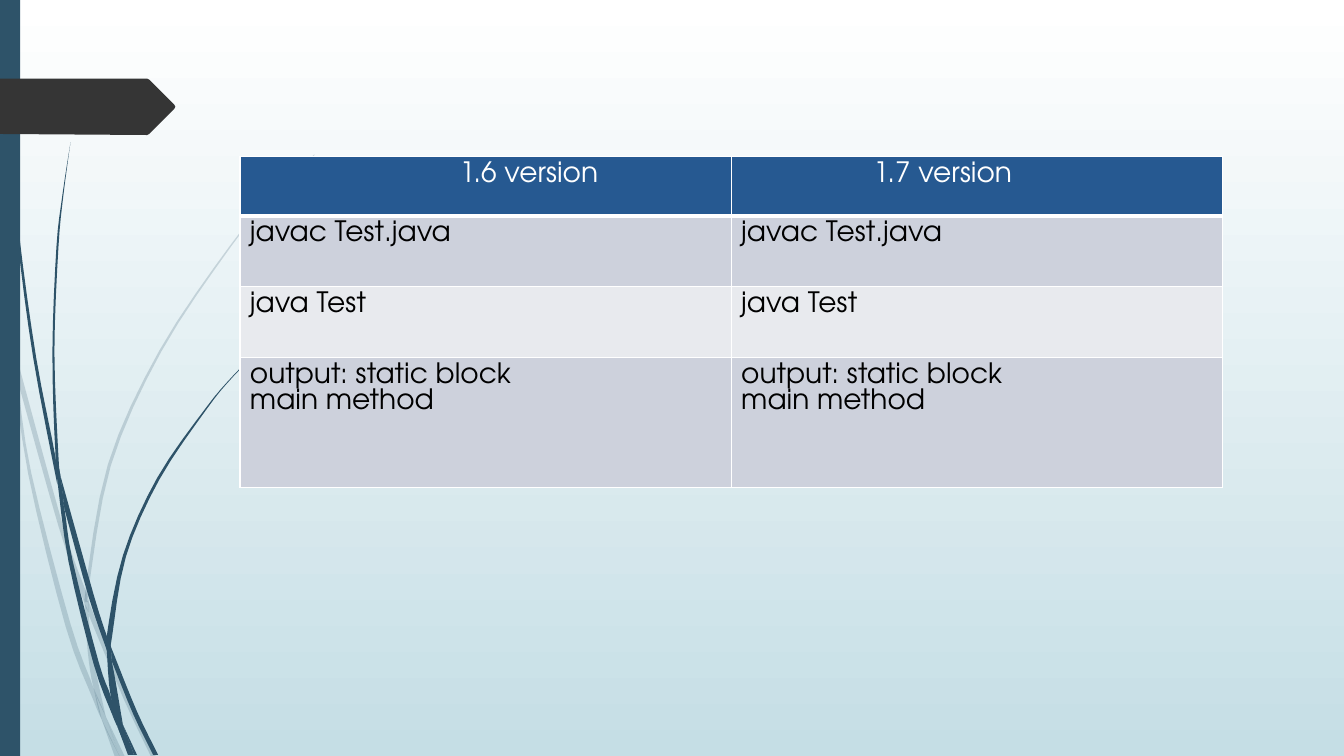
from pptx import Presentation, util as u
from pptx.dml.color import RGBColor
from pptx.enum import shapes
from pptx.oxml import parse_xml
from pptx.oxml.ns import nsdecls

FONT = "TeX Gyre Adventor"
TEAL, DARK, BLUE, WHITE, BLACK = "2E5369", "353535", "265991", "FFFFFF", "000000"
BANDS = ["CDD1DC", "E8EAEE"]

# Each blade part has two edges, given in inches from the slide's top left corner.
PALE = [
    ([(0, 2.82), (.09, 3.22), (.11, 3.5)], [(0, 2.99), (.1, 3.44), (.11, 3.5)]),
    ([(.14, 3.45), (.62, 5.2), (.85, 5.86)],
     [(.17, 3.76), (.58, 5.22), (.84, 5.99)]),
    ([(.88, 5.96), (.92, 6.07), (1.27, 6.92), (1.55, 7.51)],
     [(.88, 6.1), (1.23, 6.94), (1.5, 7.51)]),
    ([(1.05, 7.11), (1.24, 7.51)], [(1.05, 7.11), (1.19, 7.51)]),
    ([(.11, 3.5), (.17, 3.76), (.31, 4.69), (.7, 6.19), (.93, 6.83), (1.01, 7.14)],
     [(.11, 3.5), (.28, 4.7), (.65, 6.21), (.92, 6.93), (1.01, 7.14)]),
    ([(.84, 5.99), (.87, 6.46), (.93, 6.83), (1.05, 7.11)],
     [(.84, 5.99), (.88, 6.1), (.91, 6.46), (1.05, 7.11)]),
    ([(3.12, 1.53), (2.68, 1.97), (2.28, 2.44), (1.58, 3.48), (1.07, 4.61),
      (.85, 5.84), (.88, 5.96)],
     [(3.12, 1.54), (2.68, 1.98), (2.29, 2.45), (1.6, 3.49), (1.1, 4.62),
      (.88, 5.84), (.88, 5.96)]),
    ([(1.01, 7.14), (1.14, 7.51)], [(1.01, 7.14), (1.19, 7.51)]),
    ([(.85, 5.86), (.84, 5.99), (.88, 6.08)], [(.85, 5.86), (.88, 5.96), (.88, 6.1)]),
    ([(.93, 6.83), (1.05, 7.11), (1.19, 7.51)],
     [(.93, 6.83), (1.01, 7.14), (1.19, 7.51)]),
]
DEEP = [
    ([(.03, 0), (.04, .48), (.07, 1.1), (.17, 2.33), (.33, 3.55), (.57, 4.81)],
     [(.04, 0), (.05, .48), (.08, 1.09), (.19, 2.32), (.36, 3.55), (.55, 4.53),
      (.57, 4.81)]),
    ([(.6, 4.72), (.93, 5.9), (1.06, 6.31)],
     [(.64, 5.05), (.88, 5.92), (1.06, 6.45)]),
    ([(1.1, 6.41), (1.13, 6.49), (1.36, 7.06), (1.57, 7.49)],
     [(1.11, 6.56), (1.32, 7.08), (1.52, 7.49)]),
    ([(.57, 4.77), (.68, 5.57), (.93, 6.59), (1.11, 7.08), (1.17, 7.22)],
     [(.57, 4.77), (.64, 5.05), (.72, 5.56), (.98, 6.57), (1.1, 6.91), (1.17, 7.22)]),
    ([(.7, 1.41), (.62, 1.93), (.56, 2.45), (.52, 3.49), (.55, 4.49), (.6, 4.72)],
     [(.7, 1.41), (.63, 1.93), (.58, 2.45), (.54, 3.49), (.58, 4.53), (.6, 4.72)]),
    ([(1.22, 7.19), (1.36, 7.49)], [(1.22, 7.19), (1.33, 7.49)]),
    ([(.55, 4.49), (.57, 4.77), (.64, 5.05)], [(.55, 4.49), (.6, 4.72), (.64, 5.05)]),
    ([(2.6, 3.44), (2.31, 3.73), (2.04, 4.05), (1.56, 4.74), (1.22, 5.51),
      (1.06, 6.31), (1.1, 6.41)],
     [(2.61, 3.44), (2.31, 3.74), (2.05, 4.06), (1.58, 4.76), (1.25, 5.52),
      (1.11, 6.33), (1.1, 6.41)]),
    ([(1.17, 7.22), (1.27, 7.49)], [(1.17, 7.22), (1.31, 7.49)]),
    ([(1.06, 6.45), (1.1, 6.91), (1.22, 7.19)],
     [(1.06, 6.45), (1.11, 6.56), (1.22, 7.19)]),
    ([(1.06, 6.31), (1.06, 6.45), (1.11, 6.56)],
     [(1.06, 6.31), (1.1, 6.41), (1.11, 6.56)]),
    ([(1.1, 6.91), (1.22, 7.19), (1.33, 7.49)],
     [(1.1, 6.91), (1.17, 7.22), (1.3, 7.49)]),
]
TAG = [(0, .78), (1.46, .78), (1.48, .79), (1.73, 1.04), (1.74, 1.06),
       (1.73, 1.08), (1.48, 1.33), (1.46, 1.34), (0, 1.33)]
ROWS = ["1.6 version|1.7 version", "javac Test.java|javac Test.java",
        "java Test|java Test",
        "output: static block\nmain method|output: static block\nmain method"]


def paint(color):
    """Turn a hex string into a colour."""
    return RGBColor.from_string(color)


def write(frame, words, size=20, color=BLACK, font=FONT, pitch=18.6):
    """Fill a text frame, one paragraph for each line of words."""
    frame.text = words
    for para in frame.paragraphs:
        para.line_spacing = u.Pt(pitch)
        for run in para.runs:
            run.font.size, run.font.name = u.Pt(size), font
            run.font.color.rgb = paint(color)


def smooth(knots, steps=4):
    """Run a Catmull-Rom curve through the knots."""
    ends = [knots[0], *knots, knots[-1]]
    curve = []
    for a, b, c, d in zip(ends, ends[1:], ends[2:], ends[3:]):
        for i in range(steps):
            t = i / steps
            curve.append(tuple(
                q + t / 2 * (r - p + t * (2*p - 5*q + 4*r - s
                                          + t * (3*q - p - 3*r + s)))
                for p, q, r, s in zip(a, b, c, d)))
    return curve + [knots[-1]]


def rule(side, width):
    """Make a white border for one side of a cell."""
    return parse_xml(
        f'<a:{side} {nsdecls("a")} w="{u.Pt(width)}"><a:solidFill>'
        f'<a:srgbClr val="{WHITE}"/></a:solidFill></a:{side}>')


class Page:
    """Hold the style and the current slide."""

    def __init__(self, deck):
        """Add a blank slide with a gradient behind it."""
        self.slide = deck.slides.add_slide(deck.slide_layouts[6])
        fill = self.slide.background.fill
        fill.gradient()
        fill.gradient_angle = 270
        for stop, color in zip(fill.gradient_stops, [WHITE, "C5DEE5"]):
            stop.color.rgb = paint(color)

    def coat(self, shape, color, alpha=100):
        """Give a shape a flat fill and no line or shadow."""
        shape.shadow.inherit = False
        shape.line.fill.background()
        shape.fill.solid()
        shape.fill.fore_color.rgb = paint(color)
        if alpha < 100:
            tint = shape.fill._xPr.find(".//{*}srgbClr")
            tint.append(parse_xml(f'<a:alpha {nsdecls("a")} val="{alpha * 1000}"/>'))

    def bar(self, x, y, wide, high, color):
        """Add a rectangle."""
        self.coat(self.slide.shapes.add_shape(
            shapes.MSO_SHAPE.RECTANGLE, x, y, wide, high), color)

    def outline(self, points, color, alpha=100):
        """Add a closed shape through points given in inches."""
        spots = [(u.Cm(2.54 * x), u.Cm(2.54 * y)) for x, y in points]
        pen = self.slide.shapes.build_freeform(*spots[0])
        pen.add_line_segments(spots[1:], close=True)
        self.coat(pen.convert_to_shape(), color, alpha)

    def blades(self, pairs, alpha=100):
        """Add a tuft of tapering blades."""
        for near, far in pairs:
            self.outline(smooth(near) + smooth(far)[::-1], TEAL, alpha)

    def table(self, rows, x, y, wide, highs, insets):
        """Add a table with a blue head row and banded body."""
        grid = [row.split("|") for row in rows]
        table = self.slide.shapes.add_table(
            len(grid), len(grid[0]), x, y, wide, sum(highs)).table
        for i, line in enumerate(grid):
            table.rows[i].height = highs[i]
            for j, words in enumerate(line):
                cell = table.cell(i, j)
                head = i == 0
                cell.margin_left = insets[j] if head else u.Cm(.25)
                cell.margin_top = u.Cm(.13)
                write(cell.text_frame, words, color=WHITE if head else BLACK)
                props = cell._tc.get_or_add_tcPr()
                for side in ("lnL", "lnR", "lnT", "lnB"):
                    thick = (i, side) in [(0, "lnB"), (1, "lnT")]
                    props.append(rule(side, 3 if thick else 1))
                cell.fill.solid()
                cell.fill.fore_color.rgb = paint(BLUE if head else BANDS[(i - 1) % 2])


deck = Presentation()
deck.slide_width, deck.slide_height = u.Cm(33.87), u.Cm(19.05)
page = Page(deck)
page.blades(PALE, alpha=20)
page.blades(DEEP)
page.bar(0, 0, u.Cm(.51), deck.slide_height, TEAL)
page.outline(TAG, DARK)
page.table(ROWS, u.Cm(6.05), u.Cm(3.95), u.Cm(24.76),
           [u.Cm(h) for h in (1.49, 1.78, 1.78, 3.28)], [u.Cm(5.53), u.Cm(3.58)])
deck.save("out.pptx")
